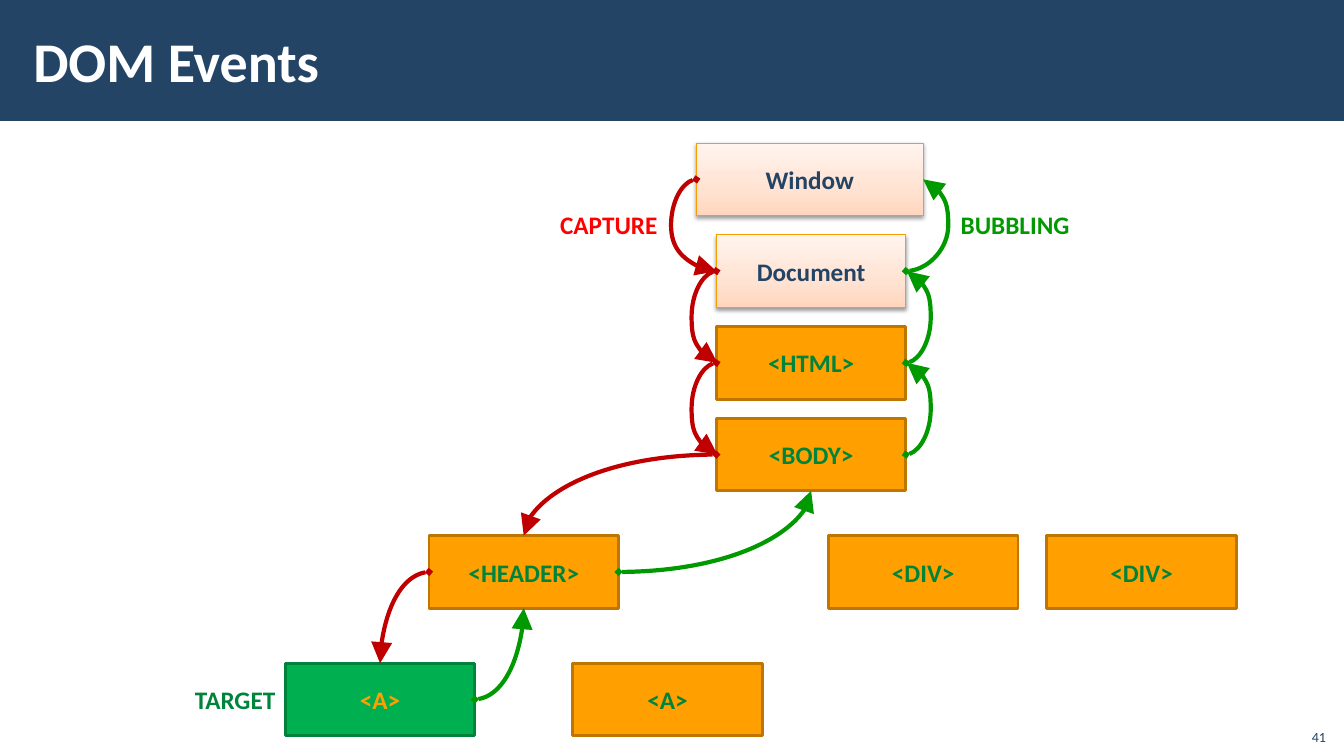
from lxml.etree import SubElement
from pptx import Presentation
from pptx.dml.color import RGBColor
from pptx.enum.shapes import MSO_CONNECTOR, MSO_SHAPE
from pptx.enum.text import MSO_ANCHOR, PP_ALIGN
from pptx.oxml.ns import qn
from pptx.util import Emu, Inches, Pt

SLIDE_W, SLIDE_H = 13.33, 7.5
# Tree grid: one column separates the two <A> nodes, one row the stacked nodes
GRID_LEFT, GRID_TOP = 2.83, 1.42
COLUMN, ROW = 2.85, 0.91
NODE_W, NODE_H = 1.88, 0.72
BULGE = Inches(0.25)
MIN_SPAN = Inches(0.01)
TOP, LEFT, BOTTOM, RIGHT = range(4)

NAVY, WHITE = "234465", "FFFFFF"
ORANGE, BROWN = "FFA000", "BD7600"
LEAF, DARK_LEAF, FOREST = "00B050", "00823B", "00843C"
CAPTURE, BUBBLING = "C00000", "009900"
PEACH = [(0, "FFD6BD"), (35, "FFE2D1"), (100, "FFF4EE")]

ELEMENT = {"fill": ORANGE, "line": BROWN, "line_pt": 2, "color": FOREST}
TARGET = {"fill": LEAF, "line": DARK_LEAF, "line_pt": 2, "color": ORANGE}
ROOT = {"fill": PEACH, "line": "F99C00", "line_pt": 0.75, "color": NAVY}

# name: (text, column, row, width, style)
NODES = {
    "window": ("Window", 1.43, 0, 2.25, ROOT),
    "document": ("Document", 1.5, 1, NODE_W, ROOT),
    "html": ("<HTML>", 1.5, 2, NODE_W, ELEMENT),
    "body": ("<BODY>", 1.5, 3, NODE_W, ELEMENT),
    "header": ("<HEADER>", 0.5, 4.28, NODE_W, ELEMENT),
    "first div": ("<DIV>", 1.89, 4.28, NODE_W, ELEMENT),
    "second div": ("<DIV>", 2.65, 4.28, NODE_W, ELEMENT),
    "target": ("<A>", 0, 5.67, NODE_W, TARGET),
    "second a": ("<A>", 1, 5.67, NODE_W, ELEMENT),
}
# (from node, side, to node, side, colour)
EVENT_PATH = [
    ("window", LEFT, "document", LEFT, CAPTURE),
    ("document", LEFT, "html", LEFT, CAPTURE),
    ("html", LEFT, "body", LEFT, CAPTURE),
    ("body", LEFT, "header", TOP, CAPTURE),
    ("header", LEFT, "target", TOP, CAPTURE),
    ("target", RIGHT, "header", BOTTOM, BUBBLING),
    ("header", RIGHT, "body", BOTTOM, BUBBLING),
    ("body", RIGHT, "html", RIGHT, BUBBLING),
    ("html", RIGHT, "document", RIGHT, BUBBLING),
    ("document", RIGHT, "window", RIGHT, BUBBLING),
]


def rgb(value):
    return RGBColor.from_string(value)


def write(shape, text, color, size=18, bold=True, align=PP_ALIGN.LEFT, **frame_format):
    frame = shape.text_frame
    for name, value in {"word_wrap": True, **frame_format}.items():
        setattr(frame, name, value)
    paragraph = frame.paragraphs[0]
    paragraph.alignment = align
    run = paragraph.add_run()
    run.text = text
    for name, value in {"name": "Calibri", "size": Pt(size), "bold": bold}.items():
        setattr(run.font, name, value)
    run.font.color.rgb = rgb(color)


def add_label(slide, text, left, top, width, height, color, **text_format):
    label = slide.shapes.add_textbox(*map(Inches, (left, top, width, height)))
    write(label, text, color, **text_format)


def add_title(slide, text):
    band = slide.shapes.add_shape(
        MSO_SHAPE.RECTANGLE, 0, 0, Inches(SLIDE_W), Inches(SLIDE_H * 0.16))
    band.shadow.inherit = False
    band.fill.solid()
    band.fill.fore_color.rgb = rgb(NAVY)
    band.line.fill.background()
    slide.shapes._spTree.insert(2, band._element)  # behind the title
    title = slide.shapes.title
    place = {"left": 0.21, "top": 0.11, "width": 10.63, "height": 0.97}
    for name, value in place.items():
        setattr(title, name, Inches(value))
    write(title, text, WHITE, size=40, vertical_anchor=MSO_ANCHOR.MIDDLE,
          margin_left=Inches(0.12), margin_right=Inches(0.12),
          margin_top=Inches(0.04), margin_bottom=Inches(0.04))


def add_color(parent, value):
    return SubElement(parent, qn("a:srgbClr"), val=value)


def fill_gradient(shape, stops):
    shape.fill.gradient()
    shape.fill.gradient_angle = 90
    stop_list = shape._element.spPr.find(qn("a:gradFill")).find(qn("a:gsLst"))
    for stop in list(stop_list):
        stop_list.remove(stop)
    for percent, value in stops:
        add_color(SubElement(stop_list, qn("a:gs"), pos=str(percent * 1000)), value)


def cast_shadow(shape):
    effects = shape._element.spPr.find(qn("a:effectLst"))
    shadow = SubElement(effects, qn("a:outerShdw"), blurRad=str(Pt(3.1)),
                        dist=str(Pt(1.6)), dir="5400000", rotWithShape="0")
    SubElement(add_color(shadow, "000000"), qn("a:alpha"), val="38000")


def add_node(slide, text, column, row, width, style):
    left, top = GRID_LEFT + column * COLUMN, GRID_TOP + row * ROW
    node = slide.shapes.add_shape(
        MSO_SHAPE.RECTANGLE, *map(Inches, (left, top, width, NODE_H)))
    node.shadow.inherit = False
    if style is ROOT:
        fill_gradient(node, style["fill"])
        cast_shadow(node)
    else:
        node.fill.solid()
        node.fill.fore_color.rgb = rgb(style["fill"])
    node.line.color.rgb = rgb(style["line"])
    node.line.width = Pt(style["line_pt"])
    write(node, text, style["color"], align=PP_ALIGN.CENTER,
          vertical_anchor=MSO_ANCHOR.MIDDLE)
    return node


def side_middle(node, side):
    across = {TOP: 0.5, LEFT: 0, BOTTOM: 0.5, RIGHT: 1}[side]
    down = {TOP: 0, LEFT: 0.5, BOTTOM: 1, RIGHT: 0.5}[side]
    return Emu(int(node.left + across * node.width)), Emu(int(node.top + down * node.height))


def add_event_arrow(slide, source, source_side, goal, goal_side, color):
    start, end = side_middle(source, source_side), side_middle(goal, goal_side)
    arrow = slide.shapes.add_connector(MSO_CONNECTOR.CURVE, *start, *end)
    arrow.begin_connect(source, source_side)
    arrow.end_connect(goal, goal_side)
    properties = arrow._element.spPr
    geometry = properties.find(qn("a:prstGeom"))
    if goal_side in (TOP, BOTTOM):
        geometry.set("prst", "curvedConnector2")
    else:
        # Bulge outside the wider of the two ends' starting side
        span = end[0] - start[0]
        if not span:
            span = arrow.width = MIN_SPAN
        if source_side == LEFT:
            bend = min(start[0], end[0]) - BULGE
        else:
            bend = max(start[0], end[0]) + BULGE
        share = round((bend - start[0]) / span * 100000)
        adjustments = geometry.find(qn("a:avLst"))
        if adjustments is None:
            adjustments = SubElement(geometry, qn("a:avLst"))
        SubElement(adjustments, qn("a:gd"), name="adj1", fmla=f"val {share}")
    arrow.line.color.rgb = rgb(color)
    arrow.line.width = Pt(3)
    outline = properties.find(qn("a:ln"))
    SubElement(outline, qn("a:headEnd"), type="diamond", w="sm", len="sm")
    SubElement(outline, qn("a:tailEnd"), type="triangle", w="lg", len="lg")
    SubElement(properties, qn("a:effectLst"))


def main():
    deck = Presentation()
    deck.slide_width, deck.slide_height = Inches(SLIDE_W), Inches(SLIDE_H)
    slide = deck.slides.add_slide(deck.slide_layouts[5])
    add_title(slide, "DOM Events")

    # Document tree
    nodes = {name: add_node(slide, *node) for name, node in NODES.items()}

    # Way of the event down to the target and back up
    for source, source_side, goal, goal_side, color in EVENT_PATH:
        add_event_arrow(slide, nodes[source], source_side, nodes[goal], goal_side, color)

    # Phase names and slide number
    add_label(slide, "CAPTURE", 4.86, 2.03, 1.76, 0.4, "FF0000", align=PP_ALIGN.RIGHT)
    add_label(slide, "TARGET", 1.07, 6.74, 1.76, 0.4, FOREST, align=PP_ALIGN.RIGHT)
    add_label(slide, "BUBBLING", 9.43, 2.03, 1.76, 0.4, BUBBLING)
    add_label(slide, "41", 12.85, 7.12, 0.4, 0.32, NAVY, size=10, bold=False,
              align=PP_ALIGN.RIGHT, vertical_anchor=MSO_ANCHOR.BOTTOM)

    deck.save("out.pptx")


if __name__ == "__main__":
    main()
